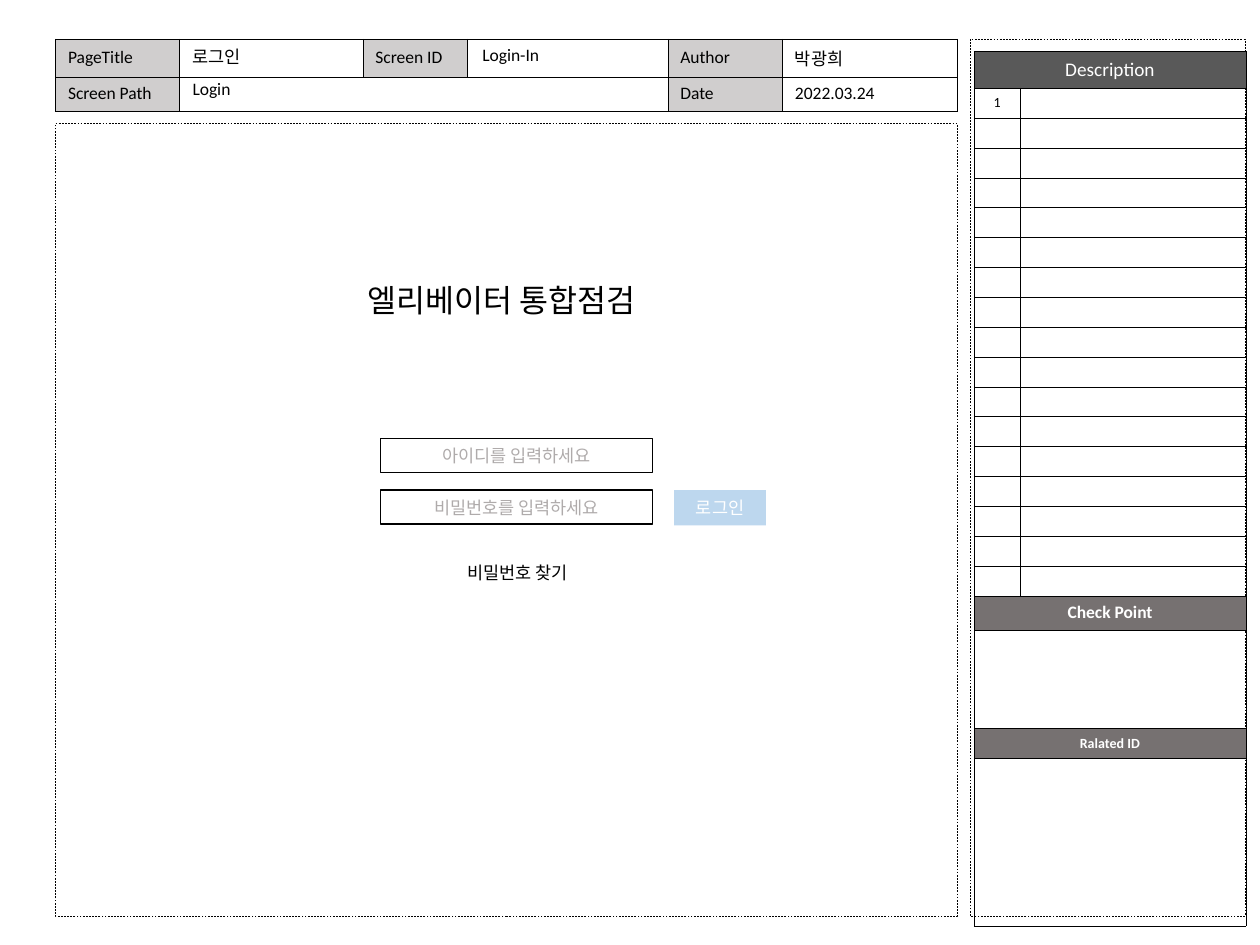
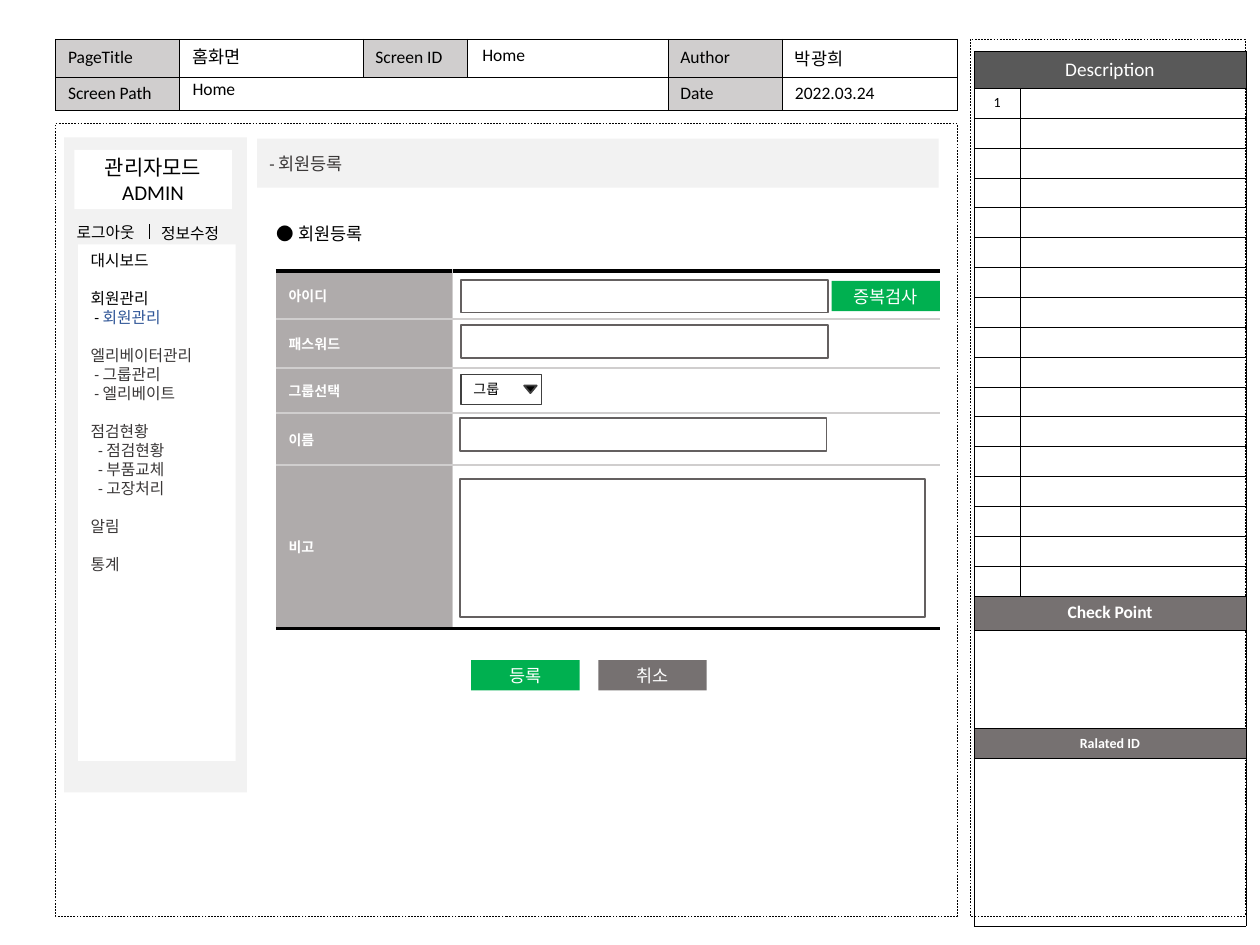
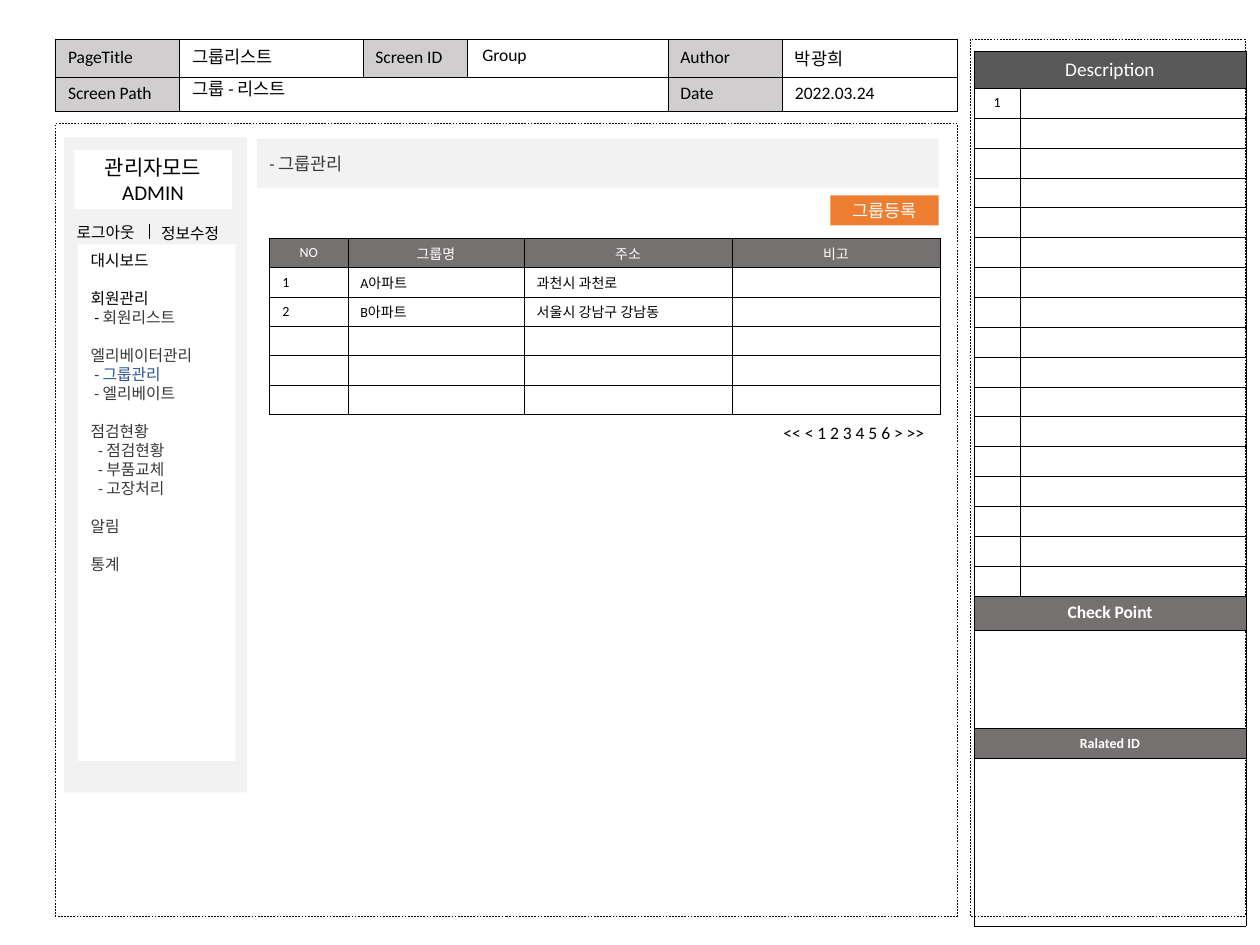
from lxml import etree
from pptx import Presentation
from pptx import util as u
from pptx.dml.color import RGBColor
from pptx.enum import dml, shapes, text
from pptx.oxml.ns import qn

I = u.Inches
FONT = "Calibri"
BLACK, WHITE, INK, BLUE = "000000", "FFFFFF", "3B3838", "2F5597"
PALE, LABEL, MUTED, GRAY, DARK = "F2F2F2", "D0CECE", "AFABAB", "767171", "595959"
FIELD, GREEN, ORANGE, SKY = "646060", "00B050", "ED7D31", "BDD7EE"
PLAIN_STYLE = "{2D5ABB26-0587-4C30-8999-92F81FD0307C}"
CENTER = text.PP_ALIGN.CENTER
MIDDLE, TOP = text.MSO_ANCHOR.MIDDLE, text.MSO_ANCHOR.TOP
RECT = shapes.MSO_SHAPE.RECTANGLE
GRID = {side: (BLACK, 0.25) for side in "LRTB"}

MENU = [
    ("대시보드", 0, []),
    ("회원관리", 0.03, None),
    ("엘리베이터관리", 0.03, ["그룹관리", "엘리베이트"]),
    ("점검현황", 0.06, ["점검현황", "부품교체", "고장처리"]),
    ("알림", 0, []),
    ("통계", 0, []),
]


def rgb(value):
    return RGBColor.from_string(value)


class Deck:
    """Holds the shared style and the current slide."""

    def __init__(self):
        self.prs = Presentation()
        self.prs.slide_width, self.prs.slide_height = I(10), I(7.5)
        self.s = None

    # Text
    def style_run(self, r, size, color, bold=False):
        r.font.name, r.font.size, r.font.bold = FONT, u.Pt(size), bold
        r.font.color.rgb = rgb(color)

    def set_text(self, tf, content, size, color, align=None, bold=False):
        tf.text = content
        for p in tf.paragraphs:
            p.alignment = align
            for r in p.runs:
                self.style_run(r, size, color, bold)

    def label(self, x, y, w, h, content, size=10, wrap=False):
        tf = self.s.shapes.add_textbox(I(x), I(y), I(w), I(h)).text_frame
        tf.word_wrap = wrap
        tf.auto_size = text.MSO_AUTO_SIZE.SHAPE_TO_FIT_TEXT
        self.set_text(tf, content, size, BLACK)

    # Shapes
    def box(self, x, y, w, h, fill=None, line=None, width=1, content="", size=10,
            color=WHITE, align=CENTER, anchor=MIDDLE, kind=RECT):
        sp = self.s.shapes.add_shape(kind, I(x), I(y), I(w), I(h))
        sp.shadow.inherit = False
        if fill:
            sp.fill.solid()
            sp.fill.fore_color.rgb = rgb(fill)
        else:
            sp.fill.background()
        if line:
            sp.line.color.rgb = rgb(line)
            sp.line.width = u.Pt(width)
        else:
            sp.line.fill.background()
        if content:
            sp.text_frame.vertical_anchor = anchor
            self.set_text(sp.text_frame, content, size, color, align)
        return sp

    def button(self, x, y, content, fill):
        self.box(x, y, 0.86, 0.24, fill, content=content)

    def rule(self, x1, y1, x2, y2):
        c = self.s.shapes.add_connector(
            shapes.MSO_CONNECTOR.STRAIGHT, I(x1), I(y1), I(x2), I(y2))
        c.line.color.rgb = rgb(BLACK)
        c.line.width = u.Pt(0.5)
        etree.SubElement(c._element.spPr, qn("a:effectLst"))

    # Tables
    def table(self, x, y, cols, rows):
        frame = self.s.shapes.add_table(
            len(rows), len(cols), I(x), I(y), I(sum(cols)), I(sum(rows)))
        t = frame.table
        t.first_row = t.horz_banding = False
        t._tbl.tblPr.find(qn("a:tableStyleId")).text = PLAIN_STYLE
        for col, w in zip(t.columns, cols):
            col.width = I(w)
        for row, h in zip(t.rows, rows):
            row.height = I(h)
        return t

    def cell(self, c, content="", size=8, color=BLACK, fill=None, align=None,
             bold=False, borders=GRID, pad=0.05):
        c.vertical_anchor = MIDDLE
        c.margin_top = c.margin_bottom = I(pad)
        tcPr = c._tc.get_or_add_tcPr()
        for side in "LRTB":
            if side in borders:
                ink, width = borders[side]
                ln = etree.SubElement(tcPr, qn("a:ln" + side), w=str(u.Pt(width)))
                solid = etree.SubElement(ln, qn("a:solidFill"))
                etree.SubElement(solid, qn("a:srgbClr"), val=ink)
        if fill:
            c.fill.solid()
            c.fill.fore_color.rgb = rgb(fill)
        else:
            c.fill.background()
        if content:
            self.set_text(c.text_frame, content, size, color, align, bold)
        else:
            p = c.text_frame.paragraphs[0]
            etree.SubElement(p._p, qn("a:endParaRPr"), sz=str(size * 100))

    # Parts shared by every screen
    def screen(self, title, trail, screen_id, sidebar=True):
        self.s = self.prs.slides.add_slide(self.prs.slide_layouts[6])
        t = self.table(0.44, 0.31, [0.98, 1.46, 0.83, 1.59, 0.91, 1.39], [0.3, 0.26])
        t.cell(1, 1).merge(t.cell(1, 3))
        info = [["PageTitle", "", "Screen ID", "", "Author", "박광희"],
                ["Screen Path", "", "", "", "Date", "2022.03.24"]]
        for i, row in enumerate(info):
            for j, content in enumerate(row):
                fill = LABEL if content and j % 2 == 0 else None
                self.cell(t.cell(i, j), content, 10, fill=fill)
        for x, y, w, h in [(0.44, 0.98, 7.16, 6.29), (7.7, 0.31, 2.18, 6.96)]:
            sp = self.box(x, y, w, h, line=BLACK, width=0.25)
            sp.line.dash_style = dml.MSO_LINE.DASH
        if sidebar:
            self.box(0.51, 1.09, 1.45, 5.2, PALE)
        self.description()
        self.label(1.43, 0.32, 1.45, 0.27, title, wrap=True)
        self.label(1.43, 0.57, 3.84, 0.27, trail, wrap=True)
        self.label(3.73, 0.3, 1.45, 0.27, screen_id, wrap=True)

    def description(self):
        count = 17
        rows = [0.29] + [4.03 / count] * count + [0.27, 0.78, 0.24, 1.33]
        t = self.table(7.73, 0.41, [0.37, 1.79], rows)
        headings = {0: ("Description", 11, WHITE, DARK, CENTER),
                    count + 1: ("Check Point", 10, WHITE, GRAY, CENTER, True),
                    count + 3: ("Ralated ID", 8, WHITE, GRAY, CENTER, True)}
        for i in range(len(rows)):
            if i == 0 or i > count:
                t.cell(i, 0).merge(t.cell(i, 1))
            first = headings.get(i, ("1" if i == 1 else "", 8, BLACK, None, CENTER))
            self.cell(t.cell(i, 0), *first)
            self.cell(t.cell(i, 1))

    def admin(self, member_item, active, heading):
        self.box(0.59, 1.19, 1.25, 0.47, WHITE, content="관리자모드\nADMIN",
                 size=12, color=BLACK)
        self.label(0.51, 1.72, 0.71, 0.25, "로그아웃", 9)
        self.label(1.18, 1.73, 0.71, 0.25, "정보수정", 9)
        self.rule(1.19, 1.78, 1.19, 1.9)
        self.menu(member_item, active)
        self.box(2.04, 1.1, 5.41, 0.39, PALE, content="- " + heading, color=INK,
                 align=text.PP_ALIGN.LEFT)

    def menu(self, member_item, active):
        sp = self.box(0.62, 1.94, 1.25, 4.1, WHITE)
        tf = sp.text_frame
        tf.vertical_anchor = TOP
        pitch = u.Pt(10.86)
        for i, (section, indent, items) in enumerate(MENU):
            color = BLACK if i < 2 else INK
            p = tf.paragraphs[0] if i == 0 else tf.add_paragraph()
            p.text = section
            p.space_before = pitch if i else 0
            self.style_run(p.runs[0], 9, color)
            entries = [p]
            for item in [member_item] if items is None else items:
                p = tf.add_paragraph()
                p._p.get_or_add_pPr().set("marL", str(I(indent)))
                item_color = BLUE if (section, item) == active else INK
                for part, ink in [("- ", color), (item, item_color)]:
                    r = p.add_run()
                    r.text = part
                    self.style_run(r, 9, ink)
                entries.append(p)
            for p in entries:
                p.alignment = text.PP_ALIGN.LEFT
                p.line_spacing = pitch


def login(d):
    d.screen("로그인", "Login", "Login-In", sidebar=False)
    for y, hint in [(3.48, "아이디를 입력하세요"), (3.89, "비밀번호를 입력하세요")]:
        d.box(3.02, y, 2.16, 0.27, line=BLACK, content=hint, color=MUTED)
    d.box(5.35, 3.89, 0.73, 0.28, SKY, content="로그인")
    d.label(2.82, 2.18, 2.53, 0.4, "엘리베이터 통합점검", 18)
    d.label(3.61, 4.41, 1.07, 0.27, "비밀번호 찾기")


def member_form(d):
    d.screen("홈화면", "Home", "Home")
    d.admin("회원관리", ("회원관리", "회원관리"), "회원등록")
    d.label(2.1, 1.72, 0.93, 0.27, "● 회원등록")

    # Form rows between two heavy rules
    names = ["아이디", "패스워드", "그룹선택", "이름", "비고"]
    t = d.table(2.19, 2.15, [1.4, 3.87], [0.38, 0.39, 0.36, 0.41, 1.3])
    thin, heavy = (LABEL, 1), (BLACK, 2.25)
    for i, name in enumerate(names):
        edges = {"T": heavy if i == 0 else thin,
                 "B": heavy if i == len(names) - 1 else thin}
        d.cell(t.cell(i, 0), name, 8, WHITE, MUTED, bold=True, borders={**edges, "R": thin})
        d.cell(t.cell(i, 1), borders={**edges, "L": thin})

    # Input fields and buttons
    for x, y, w, h in [(3.66, 2.22, 2.91, 0.26), (3.66, 2.58, 2.91, 0.26),
                       (3.65, 3.32, 2.91, 0.26), (3.65, 3.8, 3.69, 1.1)]:
        d.box(x, y, w, h, line=FIELD)
    d.button(6.6, 2.23, "증복검사", GREEN)
    d.button(3.74, 5.24, "등록", GREEN)
    d.button(4.75, 5.24, "취소", GRAY)

    # Group drop-down
    d.box(3.66, 2.97, 0.64, 0.24, WHITE, "404040", 0.75, "그룹", 8, BLACK,
          text.PP_ALIGN.LEFT, TOP)
    arrow = d.box(4.16, 3.06, 0.1, 0.06, BLACK, "404040",
                  kind=shapes.MSO_SHAPE.ISOSCELES_TRIANGLE)
    arrow.rotation = 180


def group_list(d):
    d.screen("그룹리스트", "그룹 - 리스트", "Group")
    d.admin("회원리스트", ("엘리베이터관리", "그룹관리"), "그룹관리")
    rows = [["NO", "그룹명", "주소", "비고"],
            ["1", "A아파트", "과천시 과천로", ""],
            ["2", "B아파트", "서울시 강남구 강남동", ""]] + [[""] * 4] * 3
    t = d.table(2.14, 1.89, [0.62, 1.4, 1.65, 1.65], [1.4 / len(rows)] * len(rows))
    for i, row in enumerate(rows):
        style = (8, WHITE, GRAY, CENTER) if i == 0 else (8, BLACK)
        for j, content in enumerate(row):
            d.cell(t.cell(i, j), content, *style, pad=0.03)
    d.label(6.12, 3.3, 1.34, 0.27, "<< < 1 2 3 4 5 6 > >>")
    d.button(6.59, 1.55, "그룹등록", ORANGE)


def main():
    d = Deck()
    for build in (login, member_form, group_list):
        build(d)
    d.prs.save("out.pptx")


if __name__ == "__main__":
    main()
